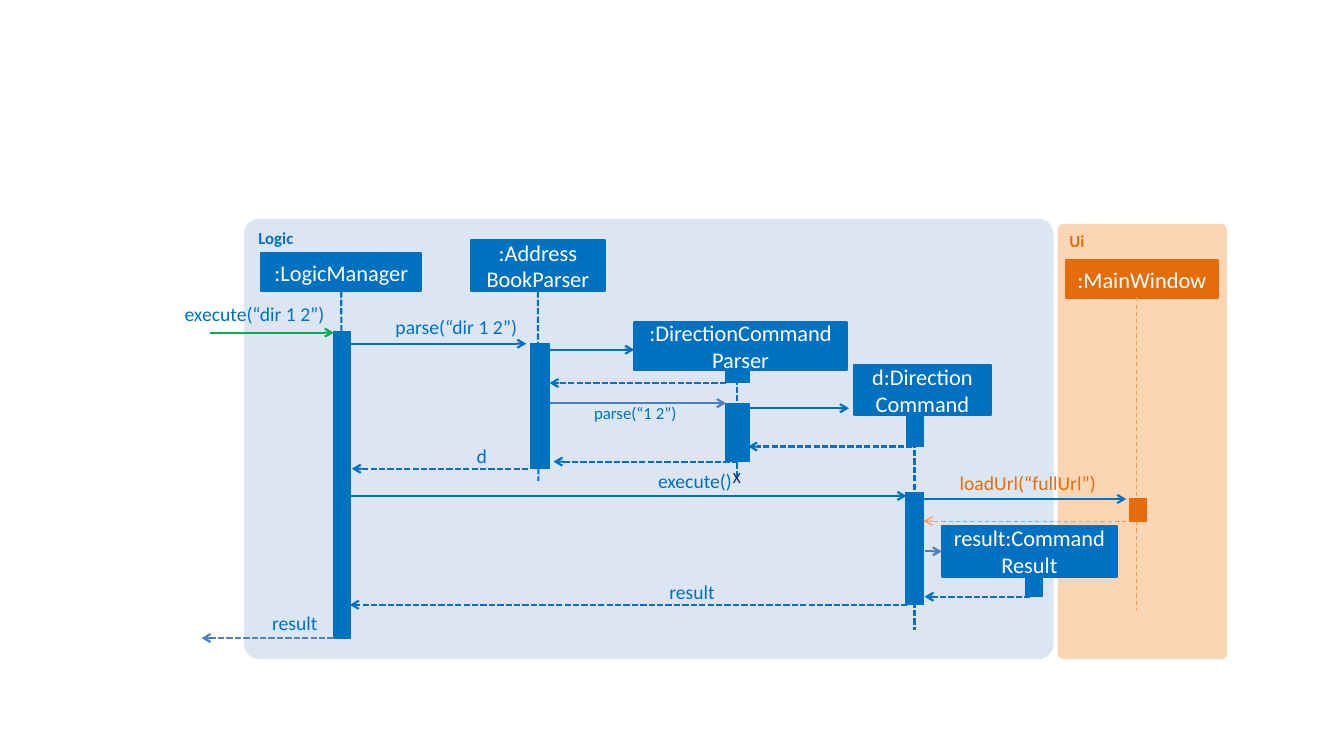
from lxml.etree import SubElement
from pptx import Presentation
from pptx.dml.color import RGBColor
from pptx.enum.dml import MSO_LINE_DASH_STYLE as DASH
from pptx.enum.shapes import MSO_CONNECTOR, MSO_SHAPE
from pptx.enum.text import MSO_ANCHOR, MSO_AUTO_SIZE, PP_ALIGN
from pptx.oxml.ns import qn
from pptx.util import Inches, Pt

BLUE = RGBColor(0x00, 0x70, 0xC0)
PALE_BLUE = RGBColor(0xDC, 0xE6, 0xF2)
STEEL = RGBColor(0x4F, 0x81, 0xBD)
MID_BLUE = RGBColor(0x4B, 0x7E, 0xBC)
NAVY = RGBColor(0x00, 0x20, 0x60)
ORANGE = RGBColor(0xE4, 0x6C, 0x0A)
LIGHT_ORANGE = RGBColor(0xF7, 0x96, 0x46)
PALE_ORANGE = RGBColor(0xFC, 0xD5, 0xB5)
GREEN = RGBColor(0x00, 0xB0, 0x50)
WHITE = RGBColor(0xFF, 0xFF, 0xFF)

presentation = Presentation()
presentation.slide_width, presentation.slide_height = Inches(13.33), Inches(7.5)
slide = presentation.slides.add_slide(presentation.slide_layouts[6])


def add_block(kind, box, fill, line_width=0, text="", size=16, color=WHITE,
              bold=False, align=PP_ALIGN.CENTER, anchor=MSO_ANCHOR.MIDDLE):
    shape = slide.shapes.add_shape(kind, *map(Inches, box))
    shape.shadow.inherit = False
    shape.fill.solid()
    shape.fill.fore_color.rgb = fill
    if line_width:
        shape.line.color.rgb = fill
        shape.line.width = Pt(line_width)
    else:
        shape.line.fill.background()
    if text:
        frame = shape.text_frame
        frame.word_wrap = True
        frame.vertical_anchor = anchor
        frame.text = text
        for paragraph in frame.paragraphs:
            paragraph.alignment = align
            paragraph.font.name = "Calibri"
            paragraph.font.size = Pt(size)
            paragraph.font.bold = bold
            paragraph.font.color.rgb = color
    return shape


def add_line(x1, y1, x2, y2, color, dash=None, arrow=False):
    line = slide.shapes.add_connector(
        MSO_CONNECTOR.STRAIGHT, *map(Inches, (x1, y1, x2, y2)))
    line.line.color.rgb = color
    line.line.width = Pt(0.75 if dash == DASH.DASH else 1.5)
    if dash:
        line.line.dash_style = dash
    if arrow:
        SubElement(line.line._get_or_add_ln(), qn("a:tailEnd"), type="arrow")
    SubElement(line._element.spPr, qn("a:effectLst"))
    return line


# Component panels
for name, box, fill, color in [
    ("Ui", (10.49, 2.22, 1.68, 4.32), PALE_ORANGE, ORANGE),
    ("Logic", (2.42, 2.17, 8.03, 4.37), PALE_BLUE, BLUE),
]:
    panel = add_block(MSO_SHAPE.ROUNDED_RECTANGLE, box, fill, text=name, size=12,
                      color=color, bold=True, align=PP_ALIGN.LEFT,
                      anchor=MSO_ANCHOR.TOP)
    panel.adjustments[0] = 0.035

# Participants
participants = {}
for key, text, box, fill in [
    ("manager", ":LogicManager", (2.59, 2.51, 1.59, 0.38), BLUE),
    ("book parser", ":Address\nBookParser", (4.67, 2.38, 1.33, 0.51), BLUE),
    ("command parser", ":DirectionCommand\nParser", (6.29, 3.2, 2.11, 0.47), BLUE),
    ("command", "d:Direction\vCommand", (8.47, 3.62, 1.36, 0.5), BLUE),
    ("window", ":MainWindow", (10.57, 2.58, 1.51, 0.38), ORANGE),
    ("result", "result:Command Result", (9.34, 5.22, 1.74, 0.5), BLUE),
]:
    participants[key] = add_block(MSO_SHAPE.RECTANGLE, box, fill, 1.5, text)

# Lifelines
for key, x, top, bottom, color, dash, centred in [
    ("manager", 3.39, 2.89, 5.75, BLUE, DASH.SQUARE_DOT, True),
    ("book parser", 5.34, 2.89, 4.77, BLUE, DASH.SQUARE_DOT, True),
    ("command parser", 7.31, 3.67, 4.75, BLUE, DASH.SQUARE_DOT, False),
    ("command", 9.07, 4.13, 6.25, BLUE, DASH.SQUARE_DOT, False),
    ("window", 11.27, 2.95, 6.05, LIGHT_ORANGE, DASH.DASH, False),
]:
    lifeline = add_line(x, top, x, bottom, color, dash)
    if centred:
        lifeline.begin_connect(participants[key], 2)

# Activation bars
for box, fill in [
    ((3.31, 3.29, 0.17, 3.04), BLUE),
    ((5.26, 3.41, 0.19, 1.24), BLUE),
    ((7.2, 3.67, 0.23, 0.13), BLUE),
    ((7.2, 4, 0.23, 0.58), BLUE),
    ((8.99, 4.13, 0.17, 0.3), BLUE),
    ((8.98, 4.89, 0.18, 1.11), BLUE),
    ((10.17, 5.73, 0.17, 0.19), BLUE),
    ((11.2, 4.95, 0.17, 0.22), ORANGE),
]:
    add_block(MSO_SHAPE.RECTANGLE, box, fill, 0.75)

# Calls: start x, end x, y
for start, end, y, color in [
    (2.08, 3.31, 3.3, GREEN),
    (3.47, 5.22, 3.41, BLUE),
    (5.4, 6.29, 3.47, BLUE),
    (5.45, 7.2, 4, MID_BLUE),
    (7.42, 8.42, 4.05, BLUE),
    (3.47, 8.99, 4.92, BLUE),
    (9.16, 11.17, 4.95, BLUE),
]:
    add_line(start, y, end, y, color, arrow=True)
creation = add_line(9.17, 5.47, 9.34, 5.47, MID_BLUE, arrow=True)
creation.end_connect(participants["result"], 1)

# Returns: start x, end x, y
for start, end, y, color, dash in [
    (7.2, 5.45, 3.8, BLUE, DASH.SQUARE_DOT),
    (9.05, 7.42, 4.43, BLUE, DASH.SQUARE_DOT),
    (7.32, 5.49, 4.58, BLUE, DASH.SQUARE_DOT),
    (5.24, 3.49, 4.65, BLUE, DASH.SQUARE_DOT),
    (11.17, 9.16, 5.17, LIGHT_ORANGE, DASH.DASH),
    (10.22, 9.17, 5.92, BLUE, DASH.SQUARE_DOT),
    (9, 3.47, 6, BLUE, DASH.SQUARE_DOT),
    (3.31, 2, 6.33, STEEL, DASH.SQUARE_DOT),
]:
    add_line(start, y, end, y, color, dash, arrow=True)

# Message labels and the destruction mark
for text, box, size, color in [
    ("execute(“dir 1 2”)", (1.16, 3, 2.06, 0.24), 14, BLUE),
    ("parse(“dir 1 2”)", (3.46, 3.12, 1.67, 0.24), 14, BLUE),
    ("parse(“1 2”)", (5.87, 4, 0.84, 0.2), 12, BLUE),
    ("d", (4.59, 4.4, 0.24, 0.24), 14, BLUE),
    ("execute()", (6.32, 4.65, 0.94, 0.24), 14, BLUE),
    ("loadUrl(“fullUrl”)", (9.31, 4.67, 1.56, 0.24), 14, ORANGE),
    ("result", (6.41, 5.75, 0.68, 0.24), 14, BLUE),
    ("result", (2.32, 6.06, 0.83, 0.24), 14, BLUE),
    ("X", (7.17, 4.59, 0.28, 0.29), 11, NAVY),
]:
    label = slide.shapes.add_textbox(*map(Inches, box))
    frame = label.text_frame
    frame.text = text
    frame.auto_size = MSO_AUTO_SIZE.SHAPE_TO_FIT_TEXT
    paragraph = frame.paragraphs[0]
    if text == "X":
        frame.word_wrap = False
    else:
        frame.word_wrap = True
        frame.margin_left = frame.margin_right = 0
        frame.margin_top = frame.margin_bottom = 0
        paragraph.alignment = PP_ALIGN.RIGHT
    paragraph.font.name = "Calibri"
    paragraph.font.size = Pt(size)
    paragraph.font.color.rgb = color

presentation.save("out.pptx")
